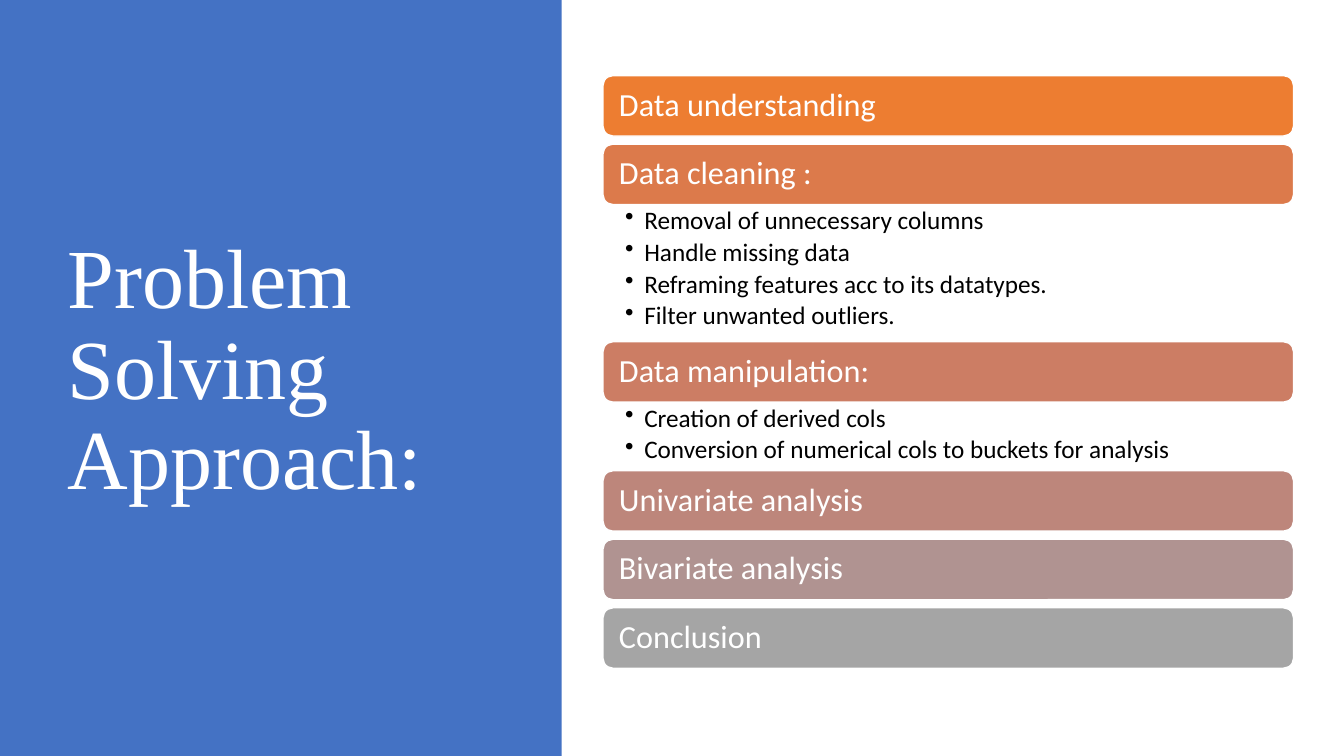
from dataclasses import dataclass

from lxml.etree import SubElement
from pptx import Presentation
from pptx.dml.color import RGBColor
from pptx.enum.shapes import MSO_SHAPE
from pptx.enum.text import MSO_ANCHOR, PP_ALIGN
from pptx.oxml.ns import qn
from pptx.shapes.autoshape import Shape
from pptx.slide import Slide
from pptx.text.text import _Paragraph as Paragraph
from pptx.util import Emu, Pt

PX = 9144  # EMU in one px, 100 px to the inch


@dataclass(frozen=True)
class Theme:
    panel: str = "4472C4"
    light: str = "FFFFFF"
    dark: str = "000000"
    title_font: str = "Times New Roman"
    body_font: str = "Calibri"
    title_size: int = 60
    step_size: int = 23
    detail_size: int = 18


@dataclass(frozen=True)
class Box:
    left: int
    top: int
    width: int
    height: int

    def emu(self) -> tuple[Emu, Emu, Emu, Emu]:
        return px(self.left), px(self.top), px(self.width), px(self.height)


@dataclass(frozen=True)
class Step:
    heading: str
    color: str
    details: tuple[str, ...] = ()


THEME = Theme()
SLIDE_WIDTH, SLIDE_HEIGHT = 1333, 750
STEPS_LEFT, STEPS_TOP, STEPS_WIDTH = 598, 75, 685
BAR_HEIGHT, BAR_GAP, DETAIL_HEIGHT = 60, 8, 34
BULLET_INDENT = 19

STEPS = (
    Step("Data understanding", "ED7D31"),
    Step("Data cleaning :", "DC7A4B", (
        "Removal of unnecessary columns",
        "Handle missing data",
        "Reframing features acc to its datatypes.",
        "Filter unwanted outliers.",
    )),
    Step("Data manipulation:", "CC7D64", (
        "Creation of derived cols",
        "Conversion of numerical cols to buckets for analysis",
    )),
    Step("Univariate analysis", "BD867B"),
    Step("Bivariate analysis", "B09391"),
    Step("Conclusion", "A5A5A5"),
)


def px(length: int) -> Emu:
    return Emu(length * PX)


def add_filled_shape(slide: Slide, kind: MSO_SHAPE, box: Box, color: str) -> Shape:
    shape = slide.shapes.add_shape(kind, *box.emu())
    shape.shadow.inherit = False
    shape.fill.solid()
    shape.fill.fore_color.rgb = RGBColor.from_string(color)
    shape.line.fill.background()
    return shape


def set_frame(shape: Shape, anchor: MSO_ANCHOR, left: int, right: int, vertical: int) -> None:
    """Wrap the text and set its anchor and insets."""
    frame = shape.text_frame
    frame.word_wrap = True
    frame.vertical_anchor = anchor
    frame.margin_left, frame.margin_right = px(left), px(right)
    frame.margin_top = frame.margin_bottom = px(vertical)


def style_paragraph(paragraph: Paragraph, font: str, size: int, color: str) -> None:
    paragraph.alignment = PP_ALIGN.LEFT
    paragraph.line_spacing = 0.9
    paragraph.font.name = font
    paragraph.font.size = Pt(size)
    paragraph.font.color.rgb = RGBColor.from_string(color)


def add_bullet(paragraph: Paragraph) -> None:
    properties = paragraph._p.get_or_add_pPr()
    properties.set("marL", str(px(BULLET_INDENT)))
    properties.set("indent", str(-px(BULLET_INDENT)))
    bullet = SubElement(properties, qn("a:buChar"))
    bullet.set("char", "•")
    # Bullets must precede the default run properties.
    properties.find(qn("a:defRPr")).addprevious(bullet)


def add_title(slide: Slide, text: str) -> None:
    title = slide.shapes.add_textbox(*Box(57, 68, 416, 602).emu())
    set_frame(title, MSO_ANCHOR.MIDDLE, 10, 10, 5)
    title.text_frame.text = text
    style_paragraph(title.text_frame.paragraphs[0], THEME.title_font,
                    THEME.title_size, THEME.light)


def add_bar(slide: Slide, step: Step, top: int) -> None:
    box = Box(STEPS_LEFT, top, STEPS_WIDTH, BAR_HEIGHT)
    bar = add_filled_shape(slide, MSO_SHAPE.ROUNDED_RECTANGLE, box, step.color)
    bar.line.color.rgb = RGBColor.from_string(THEME.light)
    bar.line.width = Pt(1)
    set_frame(bar, MSO_ANCHOR.MIDDLE, 13, 13, 10)
    bar.text_frame.text = step.heading
    style_paragraph(bar.text_frame.paragraphs[0], THEME.body_font,
                    THEME.step_size, THEME.light)


def add_details(slide: Slide, details: tuple[str, ...], top: int) -> None:
    box = Box(STEPS_LEFT, top, STEPS_WIDTH, DETAIL_HEIGHT * len(details))
    textbox = slide.shapes.add_textbox(*box.emu())
    set_frame(textbox, MSO_ANCHOR.TOP, 22, 18, 3)
    textbox.text_frame.text = "\n".join(details)
    for paragraph in textbox.text_frame.paragraphs:
        style_paragraph(paragraph, THEME.body_font, THEME.detail_size, THEME.dark)
        paragraph.space_after = Pt(3.3)
        add_bullet(paragraph)


def add_steps(slide: Slide) -> None:
    """Stack the bars; a list of details takes the place of the gap."""
    top = STEPS_TOP
    for step in STEPS:
        add_bar(slide, step, top)
        top += BAR_HEIGHT
        if step.details:
            add_details(slide, step.details, top)
        top += DETAIL_HEIGHT * len(step.details) or BAR_GAP


def main() -> None:
    presentation = Presentation()
    presentation.slide_width = px(SLIDE_WIDTH)
    presentation.slide_height = px(SLIDE_HEIGHT)
    slide = presentation.slides.add_slide(presentation.slide_layouts[6])
    add_filled_shape(slide, MSO_SHAPE.RECTANGLE, Box(0, 0, 557, SLIDE_HEIGHT), THEME.panel)
    add_title(slide, "Problem Solving Approach:")
    add_steps(slide)
    presentation.save("out.pptx")


if __name__ == "__main__":
    main()
